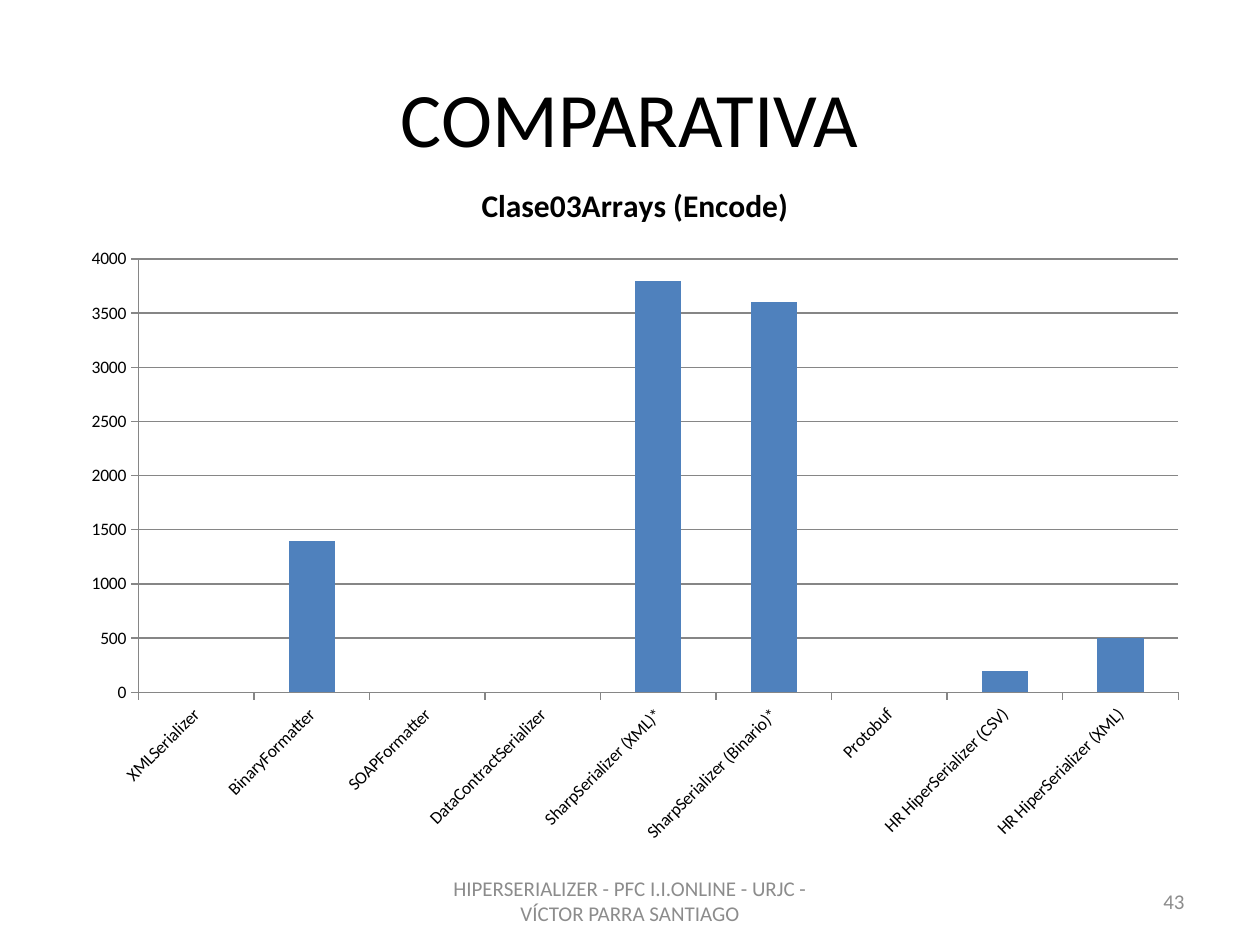
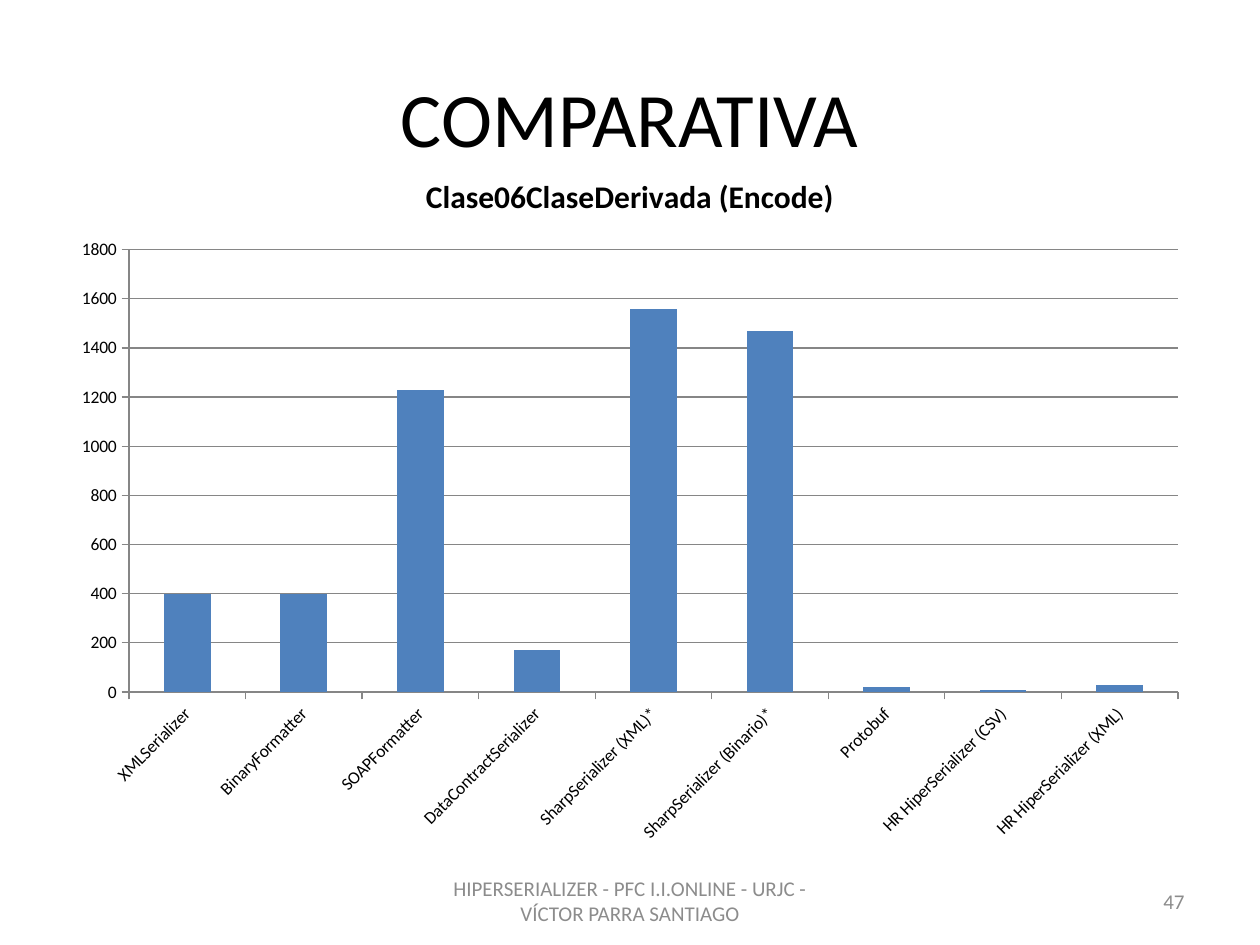
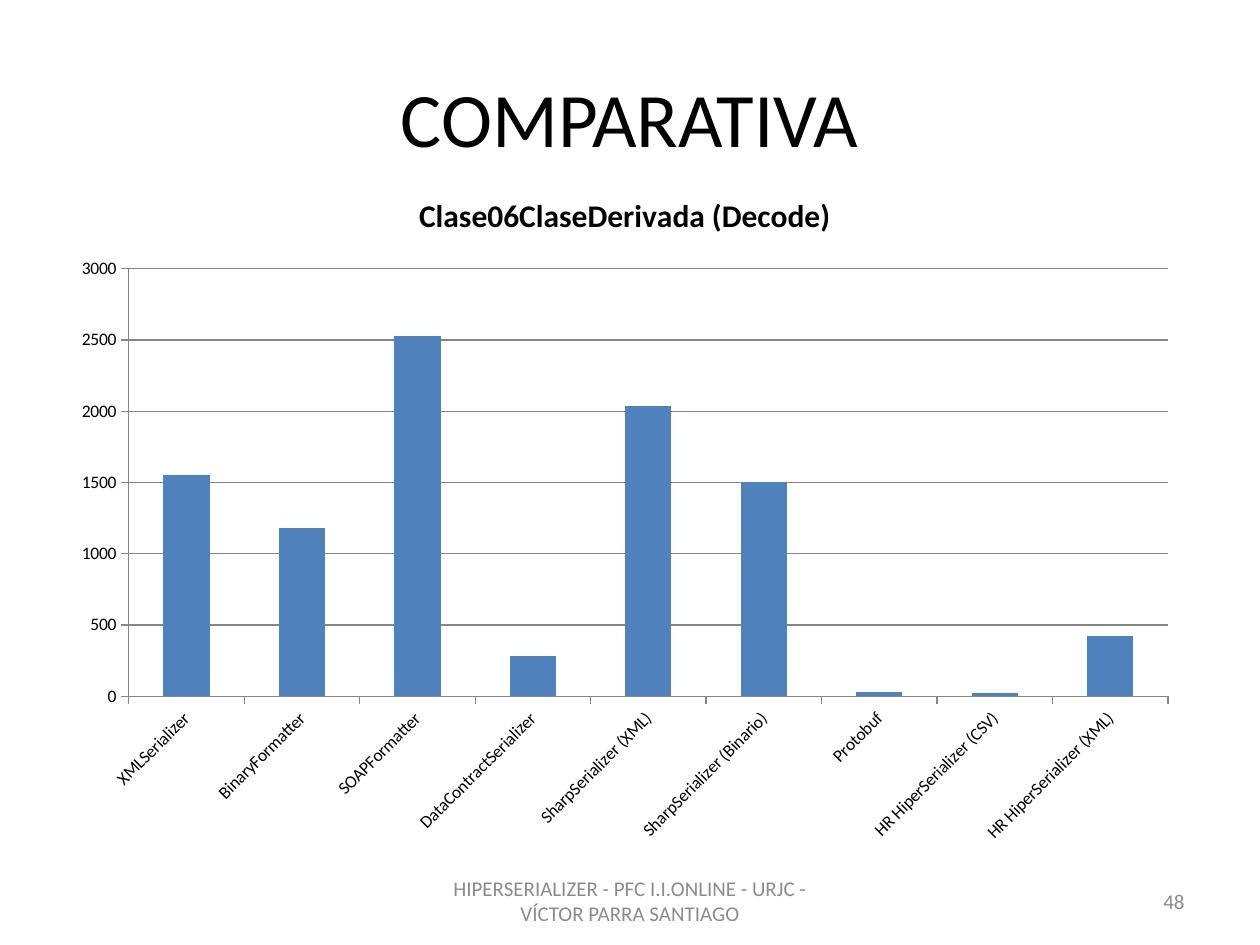
"""Build three slides that compare serializers with column charts."""
from pptx import Presentation
from pptx.chart.data import CategoryChartData as ChartData
from pptx.dml.color import RGBColor
from pptx.enum.chart import XL_CHART_TYPE as Kind, XL_TICK_MARK as Tick
from pptx.enum.text import MSO_ANCHOR as Anchor, PP_ALIGN as Align
from pptx.util import Pt

FACE = "Calibri"
BLACK, GREY, LINE, BLUE = "000000", "8C8C8C", "868686", "4F81BD"
FOOT = "HIPERSERIALIZER - PFC I.I.ONLINE - URJC - VÍCTOR PARRA SANTIAGO"
FLOOR = 489.4


def names(mark):
    """Return the category names, with the mark after SharpSerializer."""
    return ["XMLSerializer", "BinaryFormatter", "SOAPFormatter",
            "DataContractSerializer", f"SharpSerializer (XML){mark}",
            f"SharpSerializer (Binario){mark}", "Protobuf",
            "HR HiperSerializer (CSV)", "HR HiperSerializer (XML)"]


SLIDES = [
    (43, "Clase03Arrays (Encode)", "*", (39.4, 90, 686.2),
     [None, 1400, None, None, 3800, 3600, None, 200, 500]),
    (47, "Clase06ClaseDerivada (Encode)", "*", (33.8, 84.4, 686.2),
     [400, 400, 1230, 170, 1560, 1470, 20, 10, 30]),
    (48, "Clase06ClaseDerivada (Decode)", "", (33.8, 95.8, 680.4),
     [1550, 1180, 2530, 280, 2040, 1500, 30, 20, 420]),
]


def color(code):
    """Turn a hex string into a colour."""
    return RGBColor.from_string(code)


def style(font, size, code=BLACK, bold=False):
    """Set the face, size, colour and weight of a font."""
    font.name, font.size, font.bold = FACE, Pt(size), bold
    font.color.rgb = color(code)


def label(slide, box, text, size, code, align):
    """Place one line of text, centred by height, in its box."""
    frame = slide.shapes.add_textbox(*map(Pt, box)).text_frame
    frame.word_wrap = True
    frame.vertical_anchor = Anchor.MIDDLE
    para = frame.paragraphs[0]
    para.text, para.alignment = text, align
    style(para.font, size, code)


def base(slide, page):
    """Place the title, footer and page number."""
    label(slide, (36, 21.6, 648, 90), "COMPARATIVA", 44, BLACK, Align.CENTER)
    label(slide, (246, 500.4, 228, 28.8), FOOT, 12, GREY, Align.CENTER)
    label(slide, (516, 500.4, 168, 28.8), str(page), 12, GREY, Align.RIGHT)


def rule(line):
    """Draw an axis or grid line thin and grey."""
    line.color.rgb = color(LINE)
    line.width = Pt(0.75)


def graph(slide, box, title, cats, vals):
    """Place a column chart with slanted names in its box."""
    data = ChartData()
    data.categories = cats
    data.add_series(title, vals)
    chart = slide.shapes.add_chart(
        Kind.COLUMN_CLUSTERED, *map(Pt, box), data).chart
    style(chart.font, 10)
    chart.has_legend = False
    chart.has_title = True
    head = chart.chart_title
    head.include_in_layout = False
    para = head.text_frame.paragraphs[0]
    para.text = title
    style(para.font, 18, bold=True)

    plot = chart.plots[0]
    plot.gap_width = 150
    plot.vary_by_categories = False
    fill = plot.series[0].format.fill
    fill.solid()
    fill.fore_color.rgb = color(BLUE)

    for axis in (chart.category_axis, chart.value_axis):
        axis.major_tick_mark, axis.minor_tick_mark = Tick.OUTSIDE, Tick.NONE
        rule(axis.format.line)
        style(axis.tick_labels.font, 10)
    chart.value_axis.has_major_gridlines = True
    rule(chart.value_axis.major_gridlines.format.line)
    text = chart.category_axis._element.txPr
    text.bodyPr.set("rot", "-2700000")


def main():
    """Build and save the slides."""
    deck = Presentation()
    deck.slide_width, deck.slide_height = Pt(720), Pt(540)
    for page, title, mark, (left, top, right), vals in SLIDES:
        slide = deck.slides.add_slide(deck.slide_layouts[6])
        base(slide, page)
        box = left, top, right - left, FLOOR - top
        graph(slide, box, title, names(mark), vals)
    deck.save("out.pptx")


if __name__ == "__main__":
    main()
